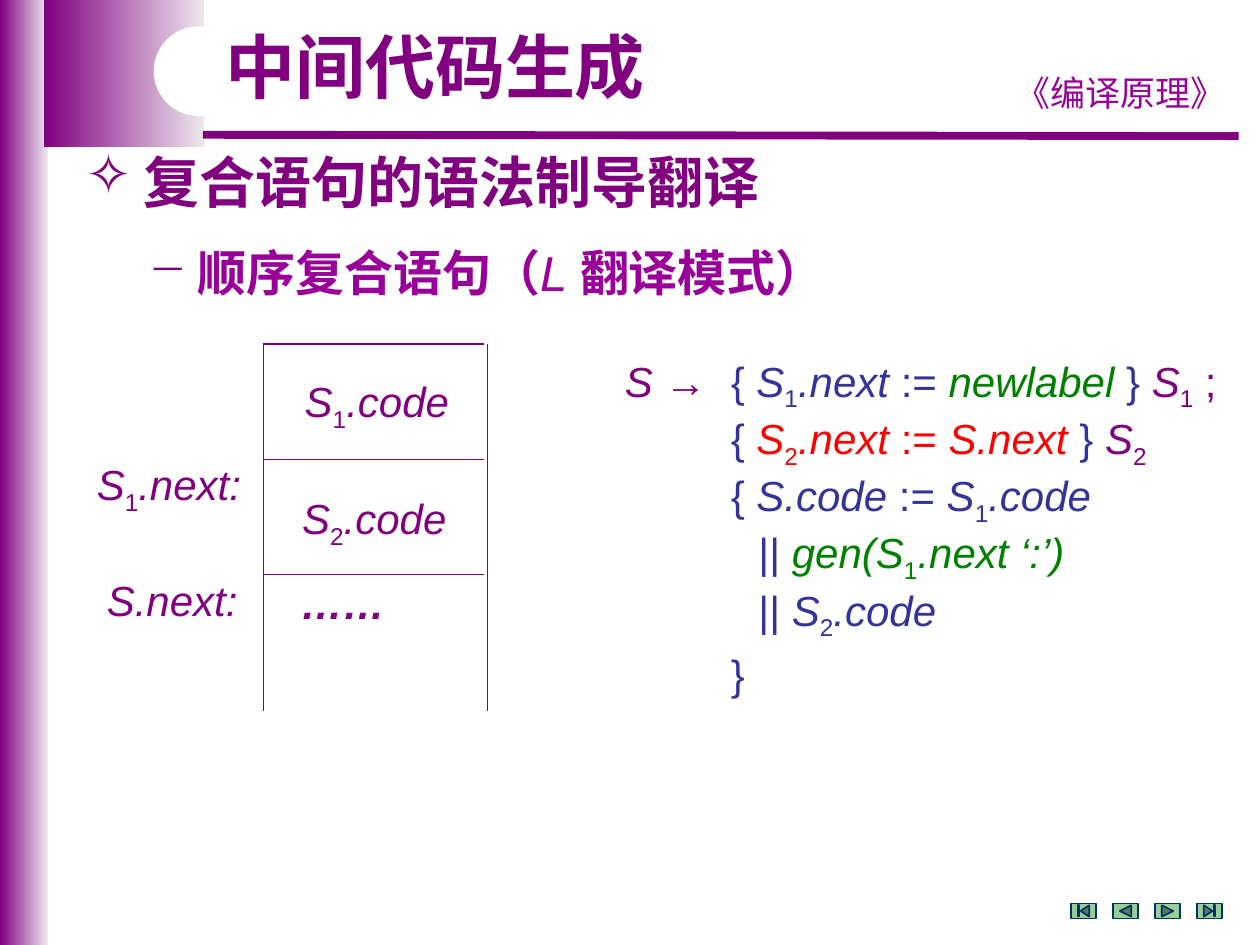
from lxml import etree
from pptx import Presentation
from pptx.dml.color import RGBColor
from pptx.enum.shapes import MSO_CONNECTOR, MSO_SHAPE
from pptx.enum.text import MSO_ANCHOR, PP_ALIGN
from pptx.oxml.ns import qn
from pptx.util import Inches, Pt

PURPLE = RGBColor(0x80, 0x00, 0x80)
MAGENTA = RGBColor(0x99, 0x00, 0x99)
PALE = RGBColor(0xED, 0xE7, 0xED)
WHITE = RGBColor(0xFF, 0xFF, 0xFF)
NAVY = RGBColor(0x33, 0x33, 0x99)
GREEN = RGBColor(0x00, 0x80, 0x00)
RED = RGBColor(0xFF, 0x00, 0x00)
BUTTON_FILL = RGBColor(0x99, 0xCC, 0x99)
BUTTON_LINE = RGBColor(0x00, 0x33, 0x66)
STRAIGHT = MSO_CONNECTOR.STRAIGHT
RECTANGLE = MSO_SHAPE.RECTANGLE
ROUNDED = MSO_SHAPE.ROUNDED_RECTANGLE
MIDDLE, TOP = MSO_ANCHOR.MIDDLE, MSO_ANCHOR.TOP
LATIN, CJK, LABEL_FONT = "Arial", "Noto Sans CJK SC", "Comic Neue"

NAV_BUTTONS = [
    MSO_SHAPE.ACTION_BUTTON_BEGINNING,
    MSO_SHAPE.ACTION_BUTTON_BACK_OR_PREVIOUS,
    MSO_SHAPE.ACTION_BUTTON_FORWARD_OR_NEXT,
    MSO_SHAPE.ACTION_BUTTON_END,
]
BANDS = [(0, 0, 0.38, 7.5), (0.35, 0, 1.27, 1.17)]

# An underscore lowers the character after it.
HEADINGS = [
    {"at": (1.69, 0.21, 3.56, 0.7), "spacing": 0.9,
     "runs": [("中间代码生成", PURPLE, {"size": Pt(40), "bold": True})]},
    {"at": (7.91, 0.52, 1.97, 0.43), "align": PP_ALIGN.CENTER,
     "runs": [("《编译原理》", MAGENTA, {"size": Pt(20), "name": LABEL_FONT})]},
    {"at": (0.58, 1.12, 9.08, 0.63), "bullet": "✧", "hang": 0.46,
     "runs": [("复合语句的语法制导翻译", PURPLE,
               {"size": Pt(32), "bold": True, "name": CJK})]},
    {"at": (1.08, 1.89, 8.5, 0.53), "bullet": "−", "hang": 0.39,
     "runs": [("顺序复合语句（", MAGENTA, {"size": Pt(28), "bold": True}),
              ("L ", MAGENTA, {"size": Pt(28), "italic": True}),
              ("翻译模式）", MAGENTA, {"size": Pt(28), "bold": True})]},
]

ITALIC, UPRIGHT = {"italic": True}, {"italic": False}
BOLD_ITALIC = {"italic": True, "bold": True}
BLOCK_LABELS = [
    ("S_1.code", ITALIC, (2.32, 2.96, 1.36, 0.5)),
    ("S_2.code", ITALIC, (2.3, 3.89, 1.36, 0.5)),
    ("……", BOLD_ITALIC, (2.29, 4.53, 0.87, 0.5)),
    ("S_1.next:", ITALIC, (0.67, 3.62, 1.36, 0.5)),
    ("S.next:", ITALIC, (0.75, 4.51, 1.24, 0.5)),
]

BRACE_INDENT, BAR_INDENT = 0.84, 1.06
RULES = [
    (BRACE_INDENT, [("S ", PURPLE, ITALIC), ("→\t", PURPLE, UPRIGHT),
                    ("{ ", NAVY, UPRIGHT), ("S_1.next ", NAVY, ITALIC),
                    (":= ", NAVY, UPRIGHT), ("newlabel ", GREEN, ITALIC),
                    ("} ", NAVY, UPRIGHT), ("S_1", PURPLE, ITALIC),
                    (" ;", PURPLE, UPRIGHT)]),
    (BRACE_INDENT, [("{ ", NAVY, UPRIGHT), ("S_2.next ", RED, ITALIC),
                    (":= ", RED, UPRIGHT), ("S.next ", RED, ITALIC),
                    ("} ", NAVY, UPRIGHT), ("S_2", PURPLE, ITALIC)]),
    (BRACE_INDENT, [("{ ", NAVY, UPRIGHT), ("S.code ", NAVY, ITALIC),
                    (":= ", NAVY, UPRIGHT), ("S_1.code", NAVY, ITALIC)]),
    (BAR_INDENT, [("|| ", NAVY, UPRIGHT), ("gen(S_1.next ‘:’)", GREEN, ITALIC)]),
    (BAR_INDENT, [("|| ", NAVY, UPRIGHT), ("S_2.code", NAVY, ITALIC)]),
    (BRACE_INDENT, [("}", NAVY, UPRIGHT)]),
]


def inches(values):
    return [Inches(value) for value in values]


def add_text_frame(slide, at, wrap=True, anchor=MIDDLE):
    frame = slide.shapes.add_textbox(*inches(at)).text_frame
    frame.word_wrap = wrap
    frame.vertical_anchor = anchor
    return frame


def add_run(paragraph, text, colour, style):
    run = paragraph.add_run()
    run.text = text
    for key, value in {"name": LATIN, "size": Pt(24), **style}.items():
        setattr(run.font, key, value)
    run.font.color.rgb = colour
    properties = run.font._element
    etree.SubElement(properties, qn("a:ea")).set("typeface", CJK)
    return properties


def write(paragraph, runs):
    for text, colour, style in runs:
        first, *lowered = text.split("_")
        if first:
            add_run(paragraph, first, colour, style)
        for part in lowered:
            add_run(paragraph, part[0], colour, UPRIGHT).set("baseline", "-25000")
            if part[1:]:
                add_run(paragraph, part[1:], colour, style)


def set_indent(paragraph, left, first):
    properties = paragraph._p.get_or_add_pPr()
    properties.set("marL", str(Inches(left)))
    properties.set("indent", str(Inches(first)))
    return properties


def add_heading(slide, heading):
    paragraph = add_text_frame(slide, heading["at"]).paragraphs[0]
    if "bullet" in heading:
        properties = set_indent(paragraph, heading["hang"], -heading["hang"])
        colour = etree.SubElement(properties, qn("a:buClr"))
        etree.SubElement(colour, qn("a:srgbClr")).set("val", str(PURPLE))
        etree.SubElement(properties, qn("a:buChar")).set("char", heading["bullet"])
    paragraph.alignment = heading.get("align")
    paragraph.line_spacing = heading.get("spacing")
    write(paragraph, heading["runs"])


def add_shape(slide, kind, at):
    shape = slide.shapes.add_shape(kind, *inches(at))
    shape.shadow.inherit = False
    shape.line.fill.background()
    return shape


def add_line(slide, ends, width):
    line = slide.shapes.add_connector(STRAIGHT, *inches(ends))
    line.line.color.rgb = PURPLE
    line.line.width = Pt(width)
    etree.SubElement(line._element.spPr, qn("a:effectLst"))


def add_frame(slide):
    for at in BANDS:
        fill = add_shape(slide, RECTANGLE, at).fill
        fill.gradient()
        fill.gradient_angle = 0
        for stop, position, colour in zip(fill.gradient_stops, (0, 1), (PURPLE, PALE)):
            stop.position = position
            stop.color.rgb = colour
    add_line(slide, (1.61, 1.07, 9.83, 1.08), 4.5)
    title_plate = add_shape(slide, ROUNDED, (1.22, 0.21, 3.62, 0.71))
    title_plate.adjustments[0] = 0.5
    title_plate.fill.solid()
    title_plate.fill.fore_color.rgb = WHITE


def add_code_blocks(slide):
    left, right, top, bottom, row = 2.09, 3.87, 2.73, 5.64, 0.915
    for x in (left, right):
        add_line(slide, (x, top, x, bottom), 0.75)
    for index in range(3):
        y = top + index * row
        add_line(slide, (left, y, right - 0.03, y), 0.75)
    for text, style, at in BLOCK_LABELS:
        paragraph = add_text_frame(slide, at, wrap=False).paragraphs[0]
        write(paragraph, [(text, PURPLE, style)])


def add_rules(slide):
    frame = add_text_frame(slide, (4.96, 2.82, 5, 2.75), anchor=TOP)
    for side in ("left", "top", "right", "bottom"):
        setattr(frame, "margin_" + side, 0)
    for index, (indent, runs) in enumerate(RULES):
        paragraph = frame.add_paragraph() if index else frame.paragraphs[0]
        set_indent(paragraph, indent, 0 if index else -indent)
        paragraph.line_spacing = Pt(32.7)
        write(paragraph, runs)


def add_navigation(slide):
    for index, kind in enumerate(NAV_BUTTONS):
        button = add_shape(slide, kind, (8.5 + index / 3, 7.17, 0.2, 0.12))
        button.fill.solid()
        button.fill.fore_color.rgb = BUTTON_FILL
        button.line.color.rgb = BUTTON_LINE
        button.line.width = Pt(1)


def main():
    deck = Presentation()
    deck.slide_width, deck.slide_height = inches((10, 7.5))
    slide = deck.slides.add_slide(deck.slide_layouts[6])
    add_frame(slide)
    for heading in HEADINGS:
        add_heading(slide, heading)
    add_code_blocks(slide)
    add_rules(slide)
    add_navigation(slide)
    deck.save("out.pptx")


if __name__ == "__main__":
    main()
